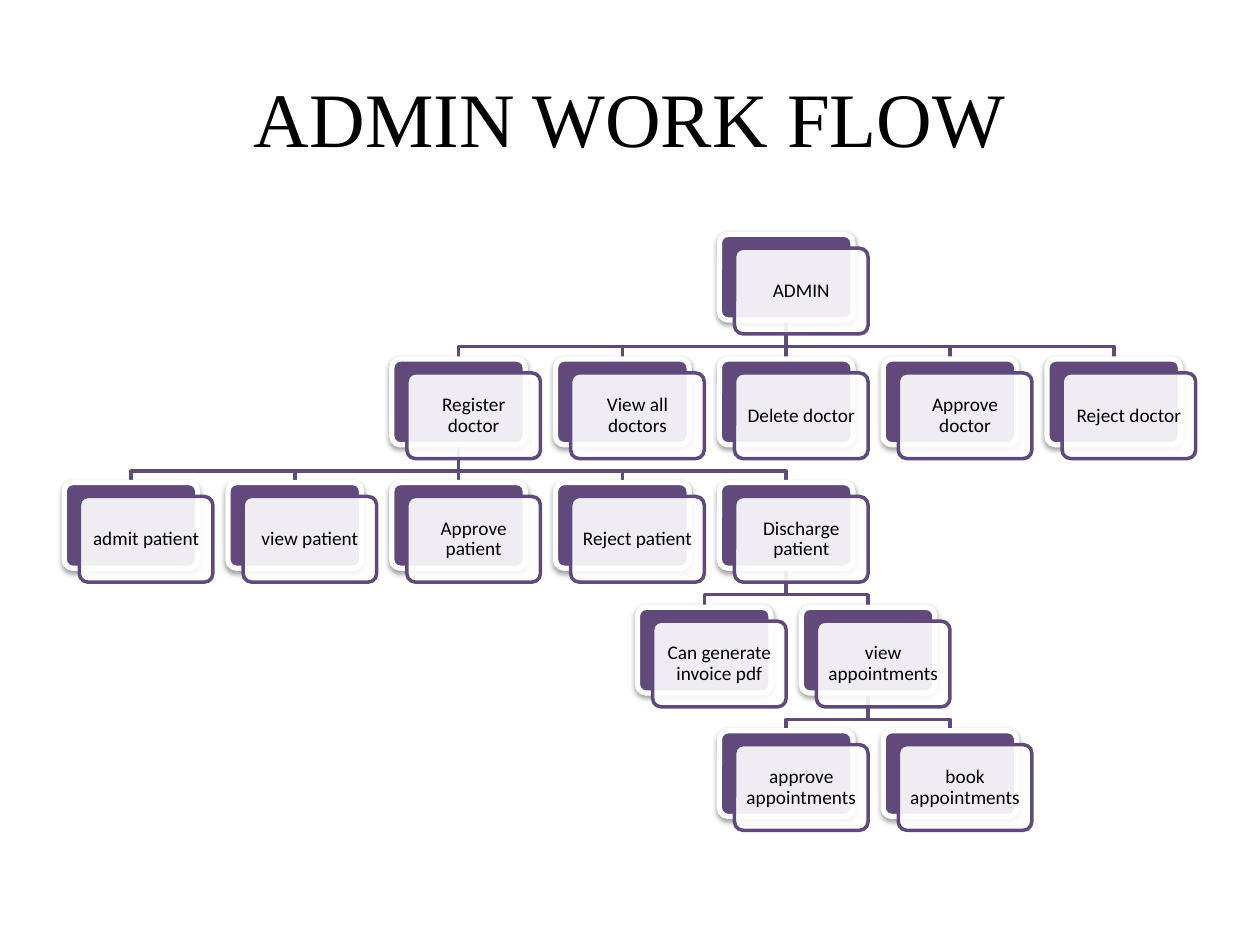
"""Build the admin work flow slide as a tree of layered cards."""
from lxml.etree import SubElement
from pptx import Presentation
from pptx.dml.color import RGBColor
from pptx.enum.shapes import MSO_CONNECTOR as LINK, MSO_SHAPE as SHAPE
from pptx.enum.text import MSO_ANCHOR as ANCHOR, PP_ALIGN as ALIGN
from pptx.oxml.ns import qn
from pptx.util import Inches, Pt

TITLE = "ADMIN WORK FLOW"
TREE = ("ADMIN", [
    ("Register doctor", [
        ("admit patient", []),
        ("view patient", []),
        ("Approve patient", []),
        ("Reject patient", []),
        ("Discharge patient", [
            ("Can generate invoice pdf", []),
            ("view appointments", [
                ("approve appointments", []),
                ("book appointments", []),
            ]),
        ]),
    ]),
    ("View all doctors", []),
    ("Delete doctor", []),
    ("Approve doctor", []),
    ("Reject doctor", []),
])
PURPLE, WHITE, BLACK = "604A7B", "FFFFFF", "000000"
ROWS = (1.86, 2.85, 3.83, 4.82, 5.8)
ROOT, STEP = 6.24, 1.3
WIDE, HIGH = 1.06, 0.68
SHIFT_X, SHIFT_Y, DROP = 0.12, 0.11, 0.21
SHADOW = {"blurRad": "40000", "dist": "20000", "dir": "5400000", "rotWithShape": "0"}
INSETS = dict.fromkeys(
    ("margin_left", "margin_right", "margin_top", "margin_bottom"), Inches(0.05))


def color(code):
    return RGBColor.from_string(code)


def style(item, values):
    for name, value in values.items():
        setattr(item, name, value)


def write(frame, text, size, face):
    style(frame, {"text": text, "word_wrap": True, "vertical_anchor": ANCHOR.MIDDLE})
    para = frame.paragraphs[0]
    para.alignment = ALIGN.CENTER
    style(para.font, {"size": Pt(size), "name": face})
    para.font.color.rgb = color(BLACK)
    return para


def outline(shape, code, width):
    shape.line.color.rgb = color(code)
    shape.line.width = Pt(width)


def fade(parent, percent):
    SubElement(parent, qn("a:alpha"), val=str(percent * 1000))


def layout(node, mid, level):
    """Yield label, centre, level and child centres, parents first."""
    label, kids = node
    mids = [mid + (i - (len(kids) - 1) / 2) * STEP for i in range(len(kids))]
    yield label, mid, level, mids
    for kid, spot in zip(kids, mids):
        yield from layout(kid, spot, level + 1)


def join(shapes, mid, level, spot):
    top, end = ROWS[level] + HIGH, ROWS[level + 1]
    if abs(spot - mid) < 0.01:
        link = shapes.add_connector(
            LINK.STRAIGHT, *map(Inches, (mid, top, mid, end)))
        SubElement(link._element.spPr, qn("a:effectLst"))
    else:
        bend = top + DROP
        path = shapes.build_freeform(Inches(mid), Inches(top))
        path.add_line_segments(
            [(Inches(x), Inches(y)) for x, y in
             ((mid, bend), (spot, bend), (spot, end))], close=False)
        link = path.convert_to_shape()
        link.shadow.inherit = False
        link.fill.background()
    outline(link, PURPLE, 2)


def card(shapes, left, top, fill, edge, width):
    box = shapes.add_shape(
        SHAPE.ROUNDED_RECTANGLE, *map(Inches, (left, top, WIDE, HIGH)))
    box.adjustments[0] = 0.1
    box.shadow.inherit = False
    box.fill.solid()
    box.fill.fore_color.rgb = color(fill)
    outline(box, edge, width)
    return box


def draw(shapes, label, mid, top):
    left = mid - WIDE / 2
    back = card(shapes, left, top, PURPLE, WHITE, 3)
    effects = back._element.spPr.find(qn("a:effectLst"))
    shade = SubElement(effects, qn("a:outerShdw"), SHADOW)
    fade(SubElement(shade, qn("a:srgbClr"), val=BLACK), 38)

    front = card(shapes, left + SHIFT_X, top + SHIFT_Y, WHITE, PURPLE, 2)
    fade(front._element.spPr.find(qn("a:solidFill"))[0], 90)
    style(front.text_frame, INSETS)
    write(front.text_frame, label, 11, "Calibri").line_spacing = 0.9


def main():
    deck = Presentation()
    style(deck, {"slide_width": Inches(10), "slide_height": Inches(7.5)})
    slide = deck.slides.add_slide(deck.slide_layouts[5])
    shapes = slide.shapes
    title = shapes.title
    style(title, {"left": Inches(0.5), "top": Inches(0.3),
                  "width": Inches(9), "height": Inches(1.25)})
    write(title.text_frame, TITLE, 44, "Times New Roman")

    nodes = list(layout(TREE, ROOT, 0))
    for label, mid, level, mids in nodes:
        for spot in mids:
            join(shapes, mid, level, spot)
    for label, mid, level, mids in nodes:
        draw(shapes, label, mid, ROWS[level])
    deck.save("out.pptx")


if __name__ == "__main__":
    main()
